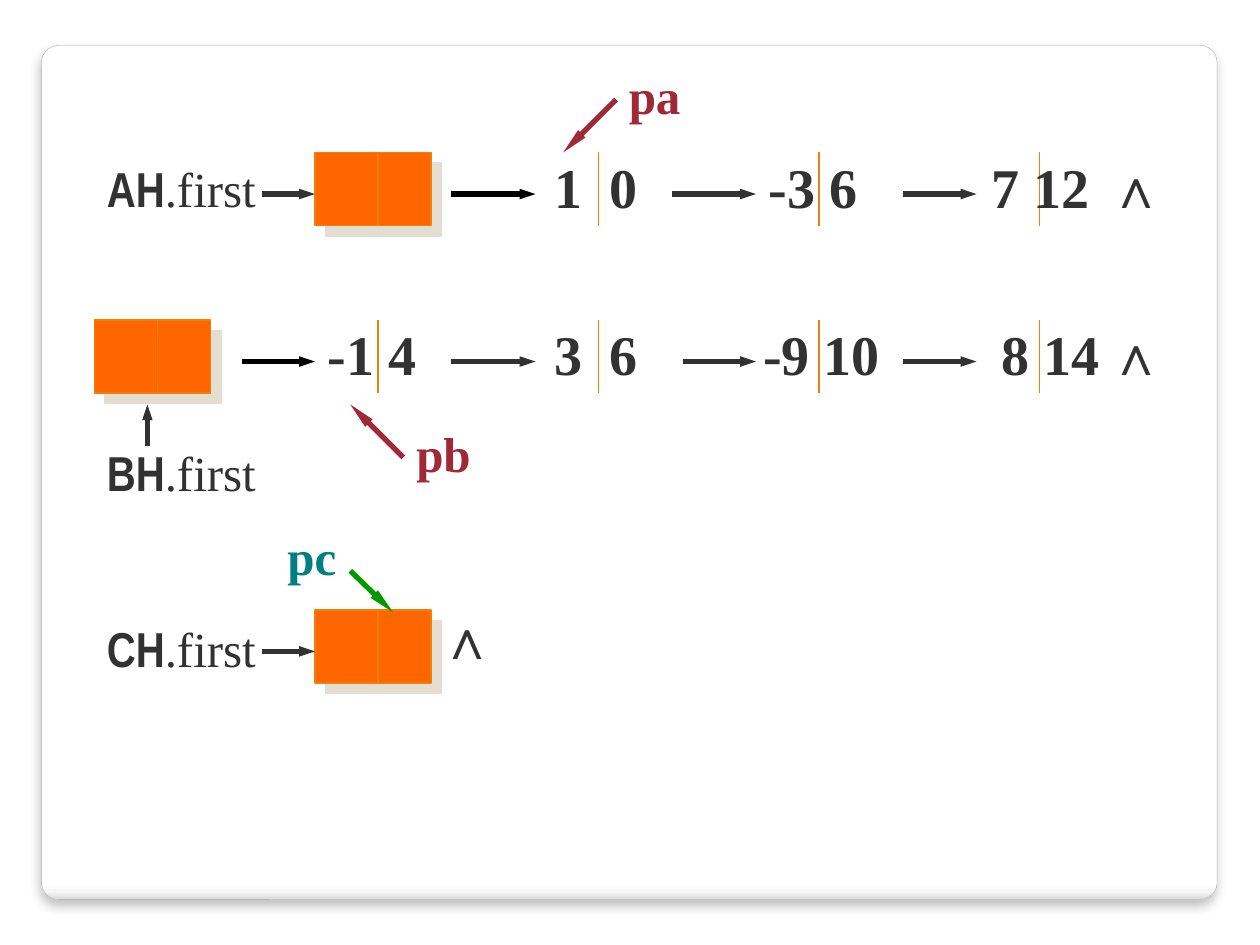
from dataclasses import dataclass

from lxml.etree import SubElement
from pptx import Presentation
from pptx.dml.color import RGBColor
from pptx.enum.shapes import MSO_CONNECTOR as CONNECTOR, MSO_SHAPE as SHAPE
from pptx.enum.text import MSO_ANCHOR as ANCHOR, MSO_AUTO_SIZE as AUTO_SIZE, PP_ALIGN as ALIGN
from pptx.oxml.ns import qn
from pptx.util import Inches, Pt


@dataclass(frozen=True)
class Theme:
    ink: str = "323232"
    black: str = "000000"
    cell: str = "FF6600"
    rule: str = "F07F09"
    cell_shadow: str = "E3DED1"
    red: str = "9F2936"
    green: str = "009900"
    teal: str = "008080"
    card_edge: str = "A4A4A4"
    card_stops: tuple = ((0, "FFFFFF"), (98, "FFFFFF"), (99, "F7F7F7"), (100, "DADADA"))
    serif: str = "Times New Roman"
    narrow: str = "Arial Narrow"
    label_size: int = 28
    node_size: int = 32
    rule_width: float = 0.75
    arrow_width: float = 3


THEME = Theme()
CELL_W, CELL_H, CELL_SPLIT = 0.92, 0.58, 0.5
ROW_A, ROW_B, ROW_C = 1.21, 2.54, 4.84
NODE_XS = [3 + 1.75 * i for i in range(4)]


def rgb(color):
    return RGBColor.from_string(color)


def add_shadow(sp, color, alpha, blur, distance, angle):
    effects = SubElement(sp._element.spPr, qn("a:effectLst"))
    shadow = SubElement(effects, qn("a:outerShdw"), blurRad=str(Pt(blur)), dist=str(Pt(distance)),
                        dir=str(angle * 60000), algn="ctr", rotWithShape="0")
    clr = SubElement(shadow, qn("a:srgbClr"), val=color)
    SubElement(clr, qn("a:alpha"), val=str(alpha * 1000))


def add_card(slide):
    sp = slide.shapes.add_shape(SHAPE.ROUNDED_RECTANGLE, Inches(0.33), Inches(0.36),
                                Inches(9.33), Inches(6.78))
    sp.adjustments[0] = 0.02
    sp.fill.gradient()
    sp.fill.gradient_angle = 270
    stops = sp._element.spPr.find(qn("a:gradFill")).find(qn("a:gsLst"))
    stops.clear()
    for position, color in THEME.card_stops:
        stop = SubElement(stops, qn("a:gs"), pos=str(position * 1000))
        SubElement(stop, qn("a:srgbClr"), val=color)
    sp.line.color.rgb = rgb(THEME.card_edge)
    sp.line.width = Pt(0.16)
    add_shadow(sp, THEME.black, 25, 6, 4, 90)


def add_line(slide, start, end, color, width):
    line = slide.shapes.add_connector(CONNECTOR.STRAIGHT, *map(Inches, (*start, *end)))
    line.line.color.rgb = rgb(color)
    line.line.width = Pt(width)
    SubElement(line._element.spPr, qn("a:effectLst"))
    return line


def add_arrow(slide, start, end, color=THEME.ink, head_length="med"):
    arrow = add_line(slide, start, end, color, THEME.arrow_width)
    SubElement(arrow.line._get_or_add_ln(), qn("a:tailEnd"), type="triangle", w="sm",
               len=head_length)


def add_divider(slide, x, top):
    add_line(slide, (x, top), (x, top + CELL_H), THEME.rule, THEME.rule_width)


def add_head_cell(slide, left, top):
    """Draw the filled two-part head node of a list."""
    sp = slide.shapes.add_shape(SHAPE.RECTANGLE, *map(Inches, (left, top, CELL_W, CELL_H)))
    sp.fill.solid()
    sp.fill.fore_color.rgb = rgb(THEME.cell)
    sp.line.color.rgb = rgb(THEME.rule)
    sp.line.width = Pt(THEME.rule_width)
    add_shadow(sp, THEME.cell_shadow, 100, 0, 8.5, 45)
    add_divider(slide, left + CELL_SPLIT, top)


def add_text_box(slide, left, top, width, height):
    box = slide.shapes.add_textbox(*map(Inches, (left, top, width, height)))
    tf = box.text_frame
    tf.word_wrap = False
    tf.auto_size = AUTO_SIZE.SHAPE_TO_FIT_TEXT
    return tf


def style_font(font, size, color):
    font.size = Pt(size)
    font.color.rgb = rgb(color)


def add_head_label(slide, name, top):
    p = add_text_box(slide, 0.75, top, 1.39, 0.57).paragraphs[0]
    style_font(p.font, THEME.label_size, THEME.ink)
    for text, face, bold in ((name, THEME.narrow, True), (".first", THEME.serif, False)):
        r = p.add_run()
        r.text = text
        r.font.name = face
        r.font.bold = bold


def add_node_text(slide, text, left, row, width):
    p = add_text_box(slide, left, row - 0.05, width, 0.63).paragraphs[0]
    p.text = text
    if "\t" in text:
        tabs = SubElement(p._p.get_or_add_pPr(), qn("a:tabLst"))
        SubElement(tabs, qn("a:tab"), pos=str(Inches(0.44)), algn="l")
    style_font(p.font, THEME.node_size, THEME.ink)
    p.font.name = THEME.serif
    p.font.bold = True


def add_pointer(slide, name, left, top, width, color, arrow_start, arrow_end, arrow_color):
    tf = add_text_box(slide, left, top, width, 0.57)
    tf.vertical_anchor = ANCHOR.MIDDLE
    p = tf.paragraphs[0]
    p.text = name
    p.alignment = ALIGN.CENTER
    style_font(p.font, THEME.label_size, color)
    p.font.name = THEME.serif
    p.font.bold = True
    add_arrow(slide, arrow_start, arrow_end, arrow_color, "lg")


def add_row(slide, row, dividers, arrows, nodes):
    """Draw a list's nodes; the first arrow, leaving the head cell, is black."""
    for x in dividers:
        add_divider(slide, x, row)
    y = row + 0.33
    for i, (start, end) in enumerate(arrows):
        add_arrow(slide, (start, y), (end, y), THEME.ink if i else THEME.black)
    for text, left, width in nodes:
        add_node_text(slide, text, left, row, width)


def main():
    prs = Presentation()
    prs.slide_width, prs.slide_height = Inches(10), Inches(7.5)
    slide = prs.slides.add_slide(prs.slide_layouts[6])
    add_card(slide)

    for left, row in ((2.5, ROW_A), (0.75, ROW_B), (2.5, ROW_C)):
        add_head_cell(slide, left, row)
    for name, top in (("AH", 1.21), ("BH", 3.46), ("CH", 4.86)):
        add_head_label(slide, name, top)
    for row in (ROW_A, ROW_C):
        add_arrow(slide, (2.08, row + 0.33), (2.5, row + 0.33))
    add_arrow(slide, (1.17, 3.54), (1.17, 3.21))

    add_row(slide, ROW_A, NODE_XS[1:],
            [(3.58, 4.25), (5.33, 6), (7.17, 7.75)],
            [("1\t0", 4.3, 0.9), ("-3 6", 6, 0.95), ("7 12", 7.77, 1), ("∧", 8.7, 0.47)])
    add_row(slide, ROW_B, NODE_XS,
            [(1.92, 2.5), (3.58, 4.25), (5.42, 6), (7.17, 7.75)],
            [("-1 4", 2.5, 0.95), ("3\t6", 4.3, 0.9), ("-9 10", 5.96, 1.15),
             ("8 14", 7.85, 1), ("∧", 8.7, 0.47)])
    add_node_text(slide, "∧", 3.39, ROW_C - 0.05, 0.47)

    add_pointer(slide, "pa", 4.89, 0.47, 0.61, THEME.red, (4.89, 0.79), (4.47, 1.21), THEME.red)
    add_pointer(slide, "pb", 3.2, 3.31, 0.64, THEME.red, (3.2, 3.63), (2.78, 3.21), THEME.red)
    add_pointer(slide, "pc", 2.18, 4.13, 0.59, THEME.teal, (2.78, 4.53), (3.12, 4.86), THEME.green)
    prs.save("out.pptx")


if __name__ == "__main__":
    main()
